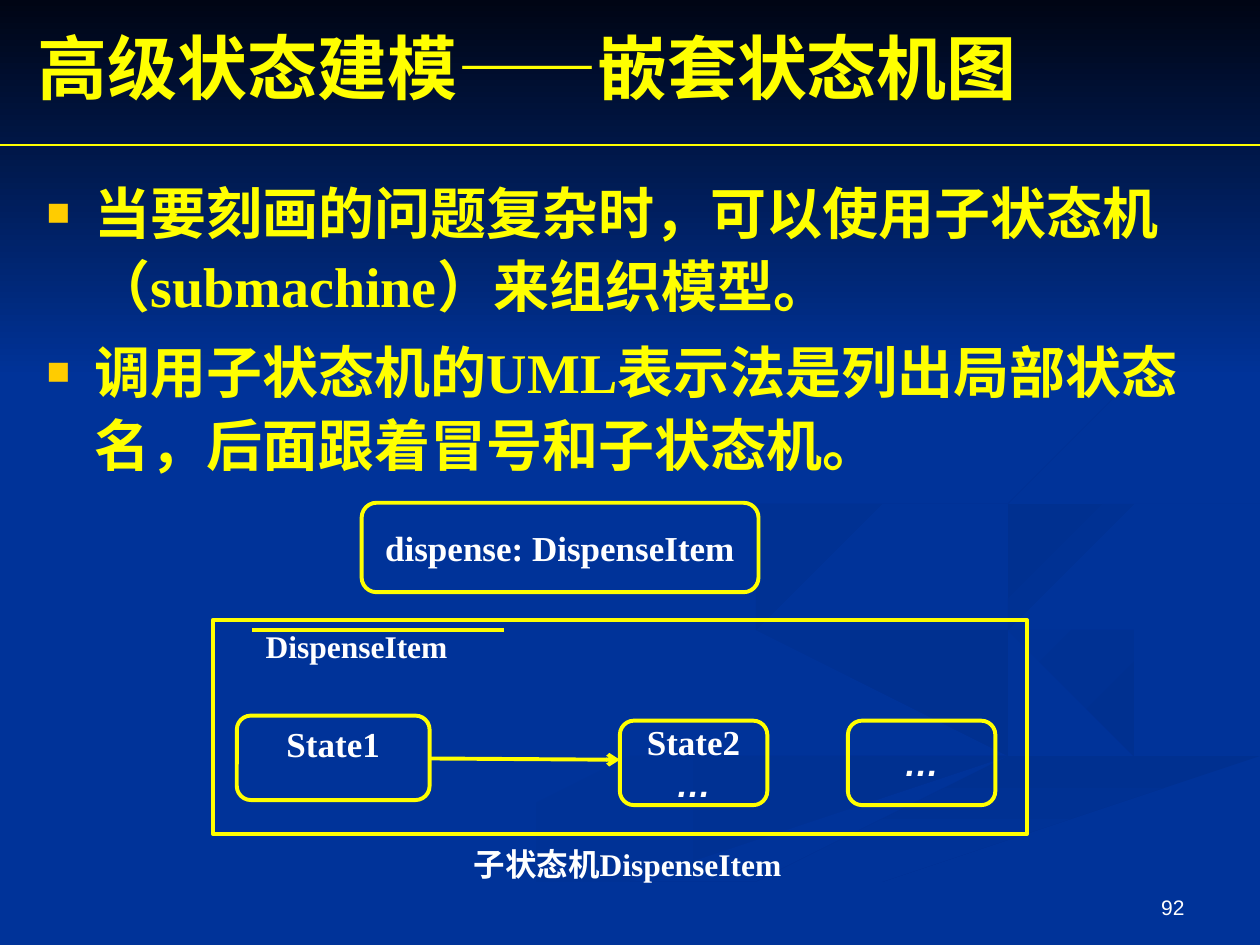
from dataclasses import dataclass

import pptx
import pptx.dml.color
import pptx.enum.shapes
import pptx.enum.text
import pptx.oxml
import pptx.oxml.ns
import pptx.util
from pptx.util import Inches

ALIGN = pptx.enum.text.PP_ALIGN
ANCHOR = pptx.enum.text.MSO_ANCHOR
SHAPE = pptx.enum.shapes.MSO_SHAPE


@dataclass(frozen=True)
class Theme:
    background: str = "003399"
    shade: str = "003090"
    night: str = "000514"
    yellow: str = "FFFF00"
    white: str = "FFFFFF"
    bullet: str = "FFCC00"
    serif: str = "Times New Roman"
    sans: str = "Arial"
    title: int = 40
    body: int = 32
    state: int = 20
    label: int = 18
    number: int = 12
    outline: float = 2.25
    rule: float = 0.75


THEME = Theme()

# Each ribbon: start colour, end colour, clockwise angle, outline in inches.
RIBBONS = [
    (THEME.background, THEME.shade, 0, [
        (7.8, 5.53), (6.4, 5.07), (5.75, 4.59), (6.1, 5), (7.6, 5.47), (7.8, 5.8),
        (5.4, 6.5), (3, 7.49), (3.6, 7.49), (5.3, 6.74), (7.7, 6.1), (8, 5.8)]),
    (THEME.background, THEME.shade, 45, [
        (9.43, 5.7), (9, 5.4), (7.6, 5), (7.24, 4.64), (7.55, 5.05), (8.8, 5.5),
        (9.18, 5.8), (8.94, 6.05), (9.32, 5.9)]),
    (THEME.shade, THEME.background, 90, [
        (5.03, 7.49), (5.7, 7.49), (7.2, 6.8), (9.98, 6.1), (9.98, 5.81), (7.6, 6.47),
        (6.3, 6.93)]),
    (THEME.shade, THEME.background, 45, [
        (7.81, 4.6), (7.9, 4.8), (8.26, 4.96), (8.05, 4.72), (8.6, 4.43), (9.98, 4.2),
        (9.98, 4.02), (8.35, 4.3)]),
    (THEME.shade, THEME.background, 45, [
        (6.8, 4.3), (8.4, 3.96), (8.94, 3.44), (8.6, 2.9), (7.62, 2.33), (8.5, 2.8),
        (8.89, 3.35), (8.4, 3.8), (6.4, 4.2), (5.77, 4.6), (6.2, 5), (5.93, 4.7)]),
    (THEME.night, THEME.background, 90, [(0, 0), (0, 3.08), (10, 3.08), (10, 0)]),
]


def rgb(value):
    return pptx.dml.color.RGBColor.from_string(value)


def add_xml(parent, tag, content="", **attributes):
    values = " ".join(f'{name}="{value}"' for name, value in attributes.items())
    namespace = pptx.oxml.ns.nsdecls("a")
    parent.append(pptx.oxml.parse_xml(f"<a:{tag} {namespace} {values}>{content}</a:{tag}>"))


def place(shape, left, top, width, height):
    shape.left, shape.top = Inches(left), Inches(top)
    shape.width, shape.height = Inches(width), Inches(height)


def add_run(paragraph, text, size, color, font=THEME.serif, bold=True, italic=False):
    run = paragraph.add_run()
    run.text = text
    run.font.size = pptx.util.Pt(size)
    run.font.name = font
    run.font.bold, run.font.italic = bold, italic
    run.font.color.rgb = rgb(color)


def add_polygon(slide, points, close=True):
    builder = slide.shapes.build_freeform(*points[0], scale=Inches(1))
    builder.add_line_segments(points[1:], close=close)
    shape = builder.convert_to_shape()
    shape.shadow.inherit = False
    return shape


def add_ribbon(slide, start, end, angle, points):
    shape = add_polygon(slide, points)
    shape.line.fill.background()
    shape.fill.gradient()
    shape.fill.gradient_angle = -angle % 360
    for stop, color in zip(shape.fill.gradient_stops, (start, end)):
        stop.color.rgb = rgb(color)


def outline(shape, width=THEME.outline):
    shape.line.color.rgb = rgb(THEME.yellow)
    shape.line.width = pptx.util.Pt(width)


def add_box(slide, kind, bounds, lines=(), anchor=ANCHOR.MIDDLE):
    """Add an outlined box whose lines may hold an ellipsis, set in slanted sans."""
    box = slide.shapes.add_shape(kind, *map(Inches, bounds))
    box.shadow.inherit = False
    box.fill.background()
    outline(box)
    frame = box.text_frame
    frame.word_wrap = False
    frame.vertical_anchor = anchor
    frame.margin_top = frame.margin_bottom = Inches(0.02)
    for index, text in enumerate(lines):
        paragraph = frame.add_paragraph() if index else frame.paragraphs[0]
        paragraph.alignment = ALIGN.CENTER
        ellipsis = text == "…"
        add_run(paragraph, text, THEME.state, THEME.white,
                THEME.sans if ellipsis else THEME.serif, italic=ellipsis)


def add_line(slide, start, end, width, arrow=False):
    line = slide.shapes.add_connector(pptx.enum.shapes.MSO_CONNECTOR.STRAIGHT,
                                      *map(Inches, start + end))
    outline(line, width)
    properties = line._element.spPr
    if arrow:
        add_xml(properties.find(pptx.oxml.ns.qn("a:ln")), "tailEnd", type="arrow")
    add_xml(properties, "effectLst")


def add_label(slide, bounds, text, size=THEME.label, font=THEME.serif, bold=True,
              align=ALIGN.LEFT, anchor=ANCHOR.TOP):
    frame = slide.shapes.add_textbox(*map(Inches, bounds)).text_frame
    frame.word_wrap = True
    frame.vertical_anchor = anchor
    frame.paragraphs[0].alignment = align
    add_run(frame.paragraphs[0], text, size, THEME.white, font, bold)


def fill_title(title, runs):
    place(title, 0.2, 0.14, 9, 0.77)
    title.text_frame.vertical_anchor = ANCHOR.MIDDLE
    title.text_frame.auto_size = pptx.enum.text.MSO_AUTO_SIZE.NONE
    paragraph = title.text_frame.paragraphs[0]
    paragraph.alignment = ALIGN.LEFT
    for text, font in runs:
        add_run(paragraph, text, THEME.title, THEME.yellow, font)


def fill_body(body, items):
    place(body, 0.27, 1.31, 9.37, 2.91)
    frame = body.text_frame
    frame.auto_size = pptx.enum.text.MSO_AUTO_SIZE.NONE
    for index, text in enumerate(items):
        paragraph = frame.add_paragraph() if index else frame.paragraphs[0]
        paragraph.line_spacing = 1.1
        paragraph.space_before = pptx.util.Pt(0.2 * THEME.body if index else 0)
        properties = paragraph._element.get_or_add_pPr()
        properties.set("marL", str(Inches(0.38)))
        properties.set("indent", str(Inches(-0.38)))
        add_xml(properties, "buClr", f'<a:srgbClr val="{THEME.bullet}"/>')
        add_xml(properties, "buSzPct", val="70000")
        add_xml(properties, "buFont", typeface=THEME.sans)
        add_xml(properties, "buChar", char="■")
        add_run(paragraph, text, THEME.body, THEME.yellow)


def add_submachine(slide):
    add_box(slide, SHAPE.ROUNDED_RECTANGLE, (2.87, 3.99, 3.15, 0.71), ["dispense: DispenseItem"])
    add_box(slide, SHAPE.RECTANGLE, (1.69, 4.92, 6.46, 1.7))
    add_box(slide, SHAPE.ROUNDED_RECTANGLE, (1.88, 5.68, 1.53, 0.67), ["State1"], ANCHOR.TOP)
    for left, lines in ((4.92, ["State2", "…"]), (6.73, ["…"])):
        add_box(slide, SHAPE.ROUNDED_RECTANGLE, (left, 5.72, 1.17, 0.67), lines)
    add_line(slide, (3.42, 6.02), (4.92, 6.03), THEME.outline, arrow=True)
    tab = add_polygon(slide, [(4.29, 4.92), (4.29, 5.16), (4.09, 5.4), (1.69, 5.4)], close=False)
    tab.fill.background()
    outline(tab)
    add_label(slide, (2.01, 4.93, 1.7, 0.4), "DispenseItem")
    add_label(slide, (3.66, 6.66, 3.39, 0.4), "子状态机DispenseItem")


def main():
    presentation = pptx.Presentation()
    presentation.slide_width, presentation.slide_height = Inches(10), Inches(7.5)
    slide = presentation.slides.add_slide(presentation.slide_layouts[1])
    slide.background.fill.solid()
    slide.background.fill.fore_color.rgb = rgb(THEME.background)
    title, body = slide.placeholders
    for ribbon in RIBBONS:
        add_ribbon(slide, *ribbon)
    for placeholder in (body, title):  # bring the text in front of the ribbons
        slide.shapes._spTree.append(placeholder._element)
    fill_title(title, [("高级状态建模", THEME.serif), ("——", THEME.sans),
                       ("嵌套状态机图", THEME.serif)])
    fill_body(body, ["当要刻画的问题复杂时，可以使用子状态机（submachine）来组织模型。",
                     "调用子状态机的UML表示法是列出局部状态名，后面跟着冒号和子状态机。"])
    add_line(slide, (0, 1.15), (10, 1.15), THEME.rule)
    add_submachine(slide)
    add_label(slide, (7.17, 6.83, 2.33, 0.52), "92", THEME.number, THEME.sans, False,
              ALIGN.RIGHT, ANCHOR.BOTTOM)
    presentation.save("out.pptx")


if __name__ == "__main__":
    main()
